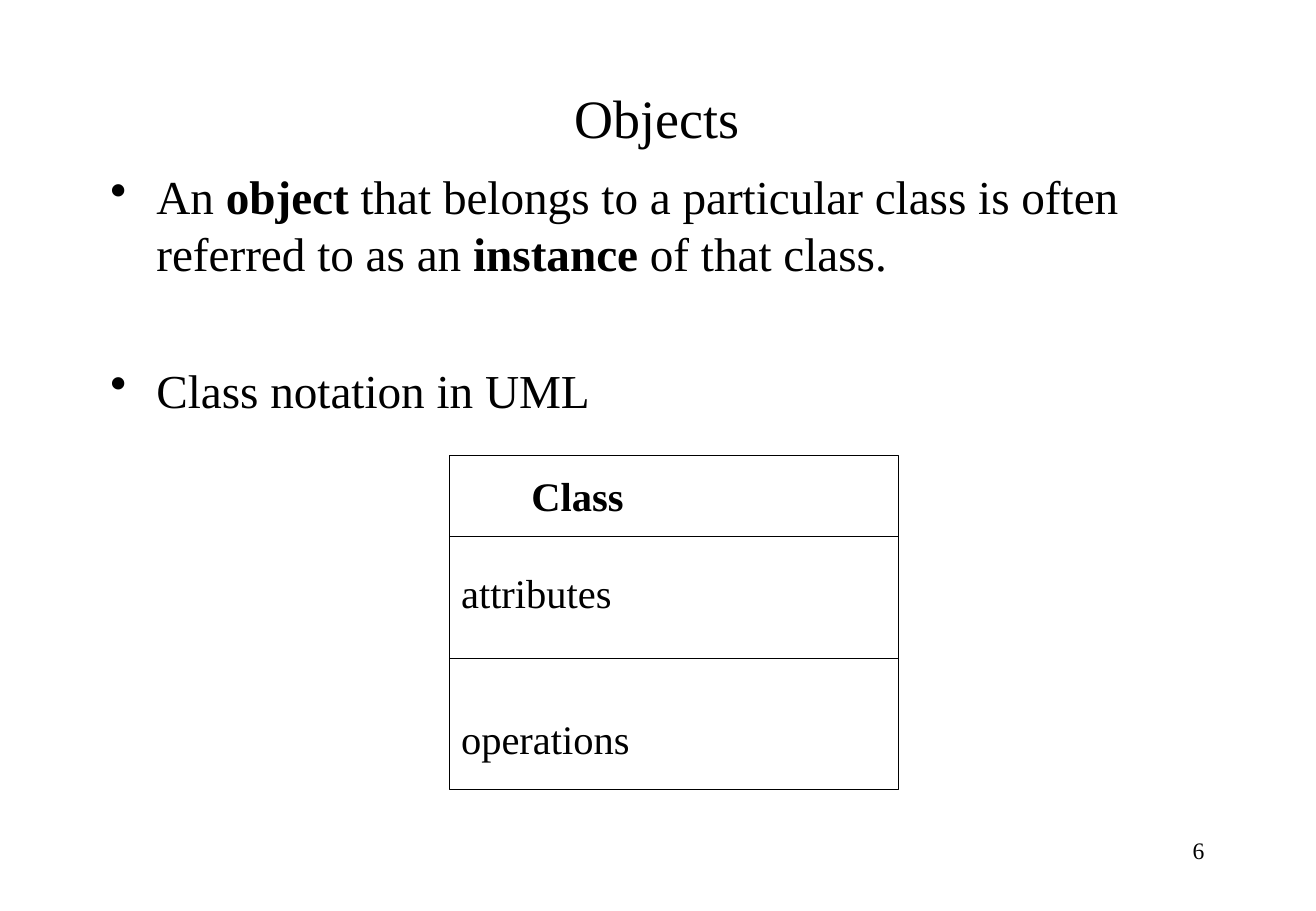
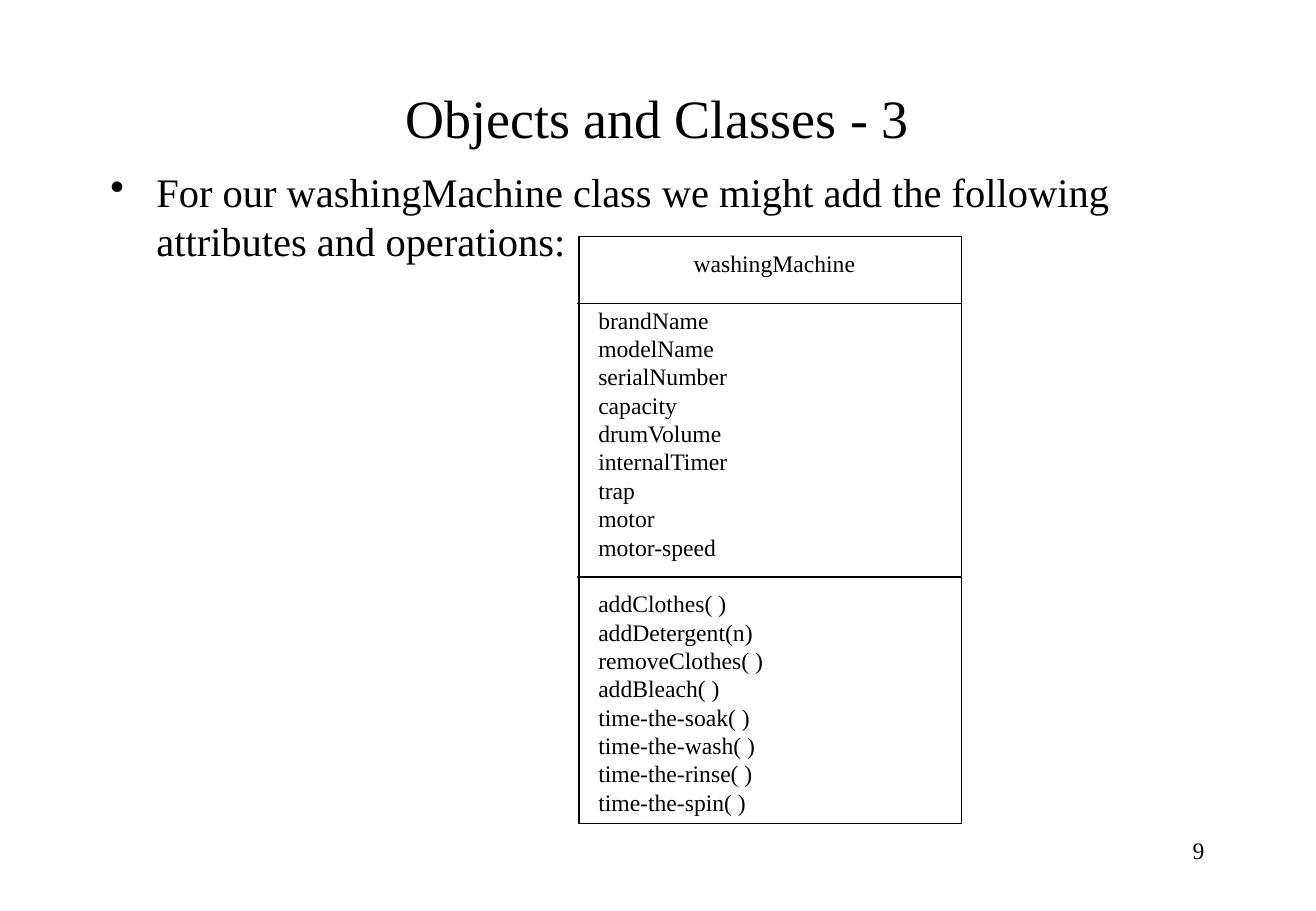
from lxml import etree
from pptx import Presentation
from pptx import util as u
from pptx.dml.color import RGBColor
from pptx.enum import shapes, text
from pptx.oxml.ns import qn

LEFT, CENTER, RIGHT = text.PP_ALIGN.LEFT, text.PP_ALIGN.CENTER, text.PP_ALIGN.RIGHT


def color(hex_code):
    return RGBColor.from_string(hex_code)


class LectureDeck:
    """Lecture style, with the slide being filled and a method per kind of element."""

    INK = "000000"
    PAPER = "FFFFFF"
    FONT = "Times New Roman"
    LEADING = 1.2
    MARGIN, WIDTH = 0.81, 9.21
    HANG = 0.38

    def __init__(self):
        self.deck = Presentation()
        self.deck.slide_width = u.Inches(10.84)
        self.deck.slide_height = u.Inches(7.5)

    def start(self, heading, number):
        self.slide = self.deck.slides.add_slide(self.deck.slide_layouts[5])
        fill = self.slide.background.fill
        fill.solid()
        fill.fore_color.rgb = color(self.PAPER)
        title = self.slide.shapes.title
        title.left, title.top = u.Inches(self.MARGIN), u.Inches(0.67)
        title.width, title.height = u.Inches(self.WIDTH), u.Inches(0.58)
        frame = title.text_frame
        frame.auto_size = text.MSO_AUTO_SIZE.NONE
        frame.vertical_anchor = text.MSO_ANCHOR.MIDDLE
        self.add_runs(frame.paragraphs[0], [(heading, False)], 32, CENTER)
        footer = self.text_area(7.76, 6.83, 2.26, 0.5)
        self.add_runs(footer.paragraphs[0], [(str(number), False)], 14, RIGHT)

    def text_area(self, left, top, width, height):
        box = self.slide.shapes.add_textbox(*map(u.Inches, (left, top, width, height)))
        box.text_frame.word_wrap = True
        return box.text_frame

    def add_runs(self, paragraph, runs, size, align=LEFT, before=0):
        paragraph.alignment = align
        paragraph.line_spacing = u.Pt(size * self.LEADING)
        paragraph.space_before = u.Pt(before)
        for words, bold in runs:
            run = paragraph.add_run()
            run.text = words
            run.font.name = self.FONT
            run.font.size = u.Pt(size)
            run.font.bold = bold
            run.font.color.rgb = color(self.INK)

    def paragraphs(self, frame, count):
        return [frame.paragraphs[0]] + [frame.add_paragraph() for _ in range(count - 1)]

    def bullets(self, items, size):
        frame = self.text_area(self.MARGIN, 1.33, self.WIDTH, 5.33)
        for paragraph, (runs, before) in zip(self.paragraphs(frame, len(items)), items):
            self.add_runs(paragraph, runs, size, before=before)
            props = paragraph._p.get_or_add_pPr()
            props.set("marL", str(u.Inches(self.HANG)))
            props.set("indent", str(-u.Inches(self.HANG)))
            etree.SubElement(props, qn("a:buChar")).set("char", "•")

    def class_frame(self, left, top, width, height):
        outline = self.slide.shapes.add_shape(
            shapes.MSO_SHAPE.RECTANGLE, *map(u.Inches, (left, top, width, height)))
        outline.shadow.inherit = False
        outline.fill.background()
        self.ink_line(outline.line)

    def dividers(self, left, right, heights):
        for y in heights:
            divider = self.slide.shapes.add_connector(
                shapes.MSO_CONNECTOR.STRAIGHT, *map(u.Inches, (left, y, right, y)))
            self.ink_line(divider.line)
            etree.SubElement(divider._element.spPr, qn("a:effectLst"))

    def ink_line(self, line):
        line.color.rgb = color(self.INK)
        line.width = u.Pt(0.75)

    def members(self, place, rows, size):
        frame = self.text_area(*place)
        for paragraph, (words, bold, align, indent, skipped) in zip(
                self.paragraphs(frame, len(rows)), rows):
            self.add_runs(paragraph, [(words, bold)], size, align, skipped * size * self.LEADING)
            paragraph._p.get_or_add_pPr().set("marL", str(u.Inches(indent)))


def objects_slide(lecture):
    lecture.start("Objects", 6)
    definition = [
        ("An ", False), ("object", True),
        (" that belongs to a particular class is often referred to as an ", False),
        ("instance ", True), ("of that class.", False),
    ]
    lecture.bullets([(definition, 7), ([("Class notation in UML", False)], 47.6)], 28)
    lecture.class_frame(3.7, 3.75, 3.7, 2.75)
    lecture.dividers(3.7, 7.4, (4.42, 5.42))
    lecture.members((3.7, 3.83, 3.63, 2.9), [
        ("Class", True, LEFT, 0.58, 0),
        ("attributes", False, LEFT, 0, 1),
        ("operations", False, LEFT, 0, 2),
    ], 24)


def washing_machine_slide(lecture):
    attributes = ("brandName", "modelName", "serialNumber", "capacity", "drumVolume",
                  "internalTimer", "trap", "motor", "motor-speed")
    operations = ("addClothes( )", "addDetergent(n)", "removeClothes( )", "addBleach( )",
                  "time-the-soak( )", "time-the-wash( )", "time-the-rinse( )",
                  "time-the-spin( )")
    lecture.start("Objects and Classes - 3", 9)
    lecture.bullets([([("For our washingMachine class we might add the following "
                        "attributes and operations:", False)], 6)], 24)
    lecture.class_frame(4.77, 1.95, 3.15, 4.83)
    rows = [("washingMachine", False, CENTER, 0, 0)]
    for group in (attributes, operations):
        rows += [(member, False, LEFT, 0, int(i == 0)) for i, member in enumerate(group)]
    lecture.members((4.83, 2, 3.1, 4.77), rows, 14)
    lecture.dividers(4.75, 7.92, (2.5, 4.75))


def main():
    lecture = LectureDeck()
    objects_slide(lecture)
    washing_machine_slide(lecture)
    lecture.deck.save("out.pptx")


if __name__ == "__main__":
    main()
